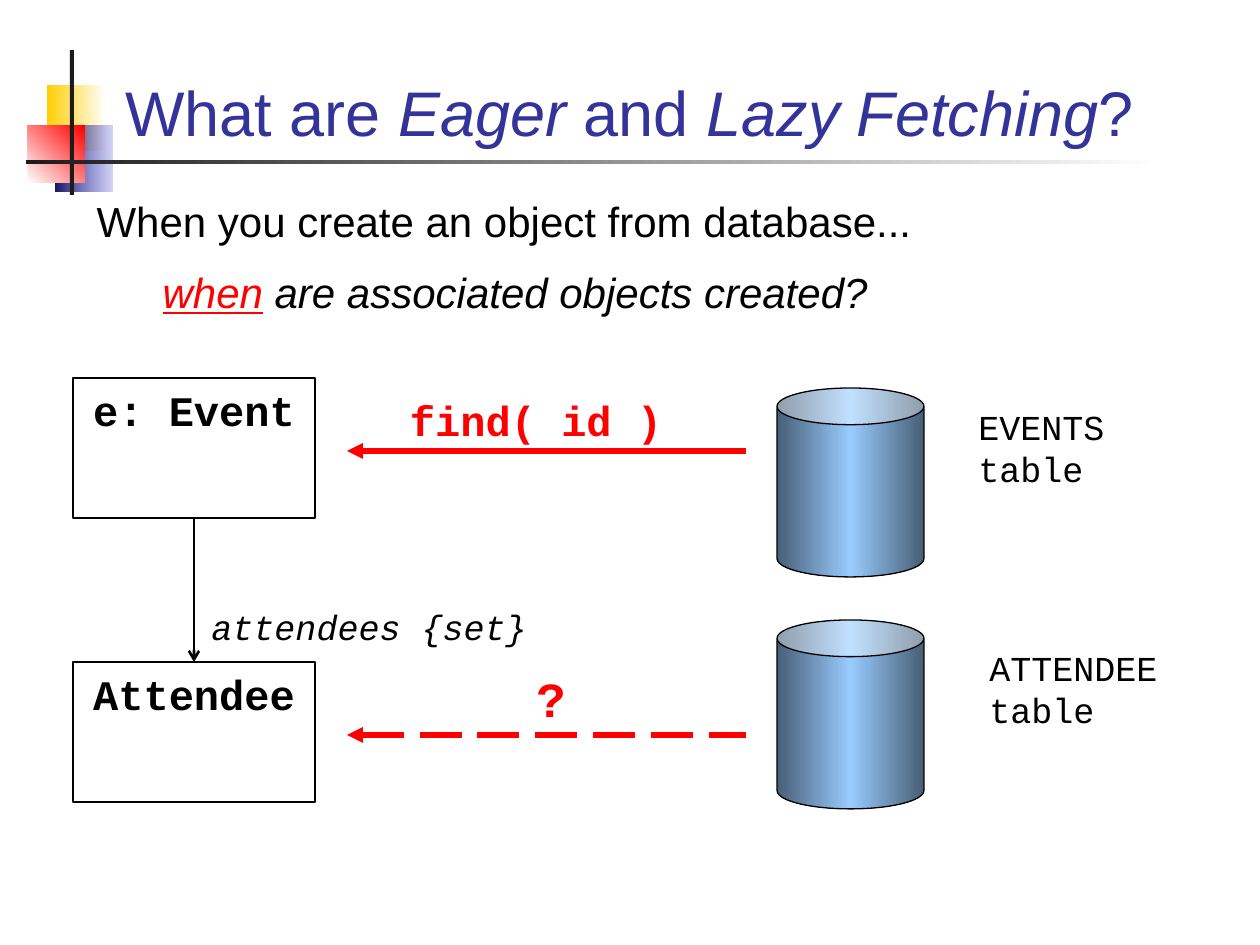
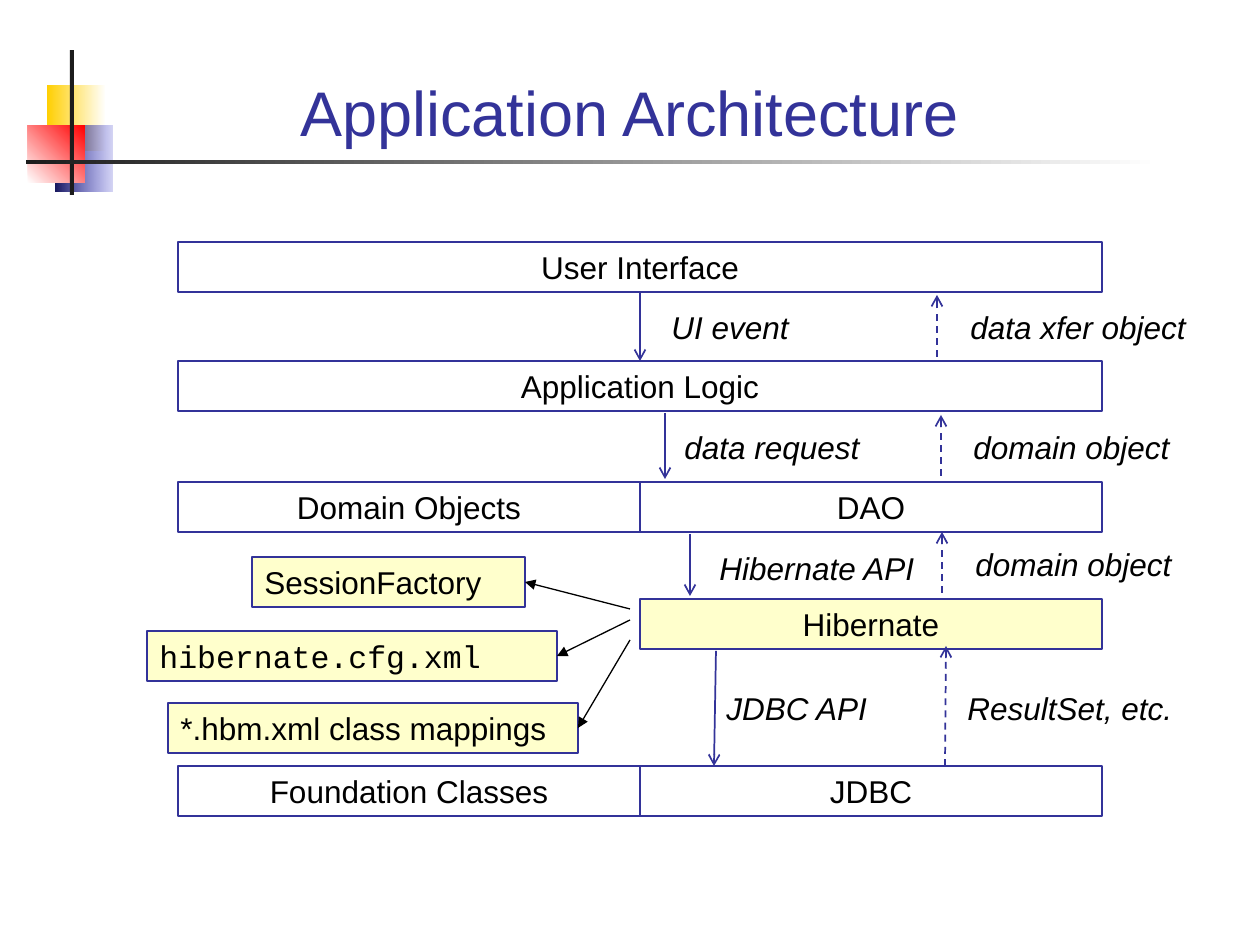
from dataclasses import dataclass

from lxml.etree import SubElement
from pptx import Presentation
from pptx.dml.color import RGBColor as Rgb
from pptx.enum.dml import MSO_LINE_DASH_STYLE as Dash
from pptx.enum.shapes import MSO_CONNECTOR as Link, MSO_SHAPE as Form
from pptx.enum.text import MSO_ANCHOR as Anchor, MSO_AUTO_SIZE as Fit, PP_ALIGN as Align
from pptx.oxml.ns import qn
from pptx.util import Pt

PX_PER_INCH = 126
EMU_PER_PX = 914400 / PX_PER_INCH
TOP, LEFT, BOTTOM, RIGHT = range(4)


@dataclass(frozen=True)
class Theme:
    sans: str = "Arial"
    mono: str = "Courier New"
    title: str = "333399"
    ink: str = "000000"
    accent: str = "FF0000"
    dark: str = "1C1C1C"
    white: str = "FFFFFF"
    gold: str = "FFCF01"
    navy: str = "18185E"
    blue: str = "3333CC"
    cream: str = "FFFFCC"
    steel: str = "475E76"
    sky: str = "99CCFF"
    title_size: int = 36
    mark_size: int = 28
    body_size: int = 24
    code_size: int = 20
    label_size: int = 18


THEME = Theme()


def emu(px):
    return round(px * EMU_PER_PX)


class Deck:
    """Holds the theme and the current slide, and draws each kind of element."""

    def __init__(self, theme):
        self.theme = theme
        self.show = Presentation()
        self.show.slide_width, self.show.slide_height = emu(1260), emu(945)
        self.slide = None

    def new_slide(self, layout, title_runs):
        self.slide = self.show.slides.add_slide(self.show.slide_layouts[layout])
        self.ornament()
        heading = self.slide.shapes.title
        self.place(heading, 84, 35, 1091, 120)
        heading.text_frame.vertical_anchor = Anchor.BOTTOM
        self.fill_text(heading.text_frame.paragraphs[0], title_runs, align=Align.CENTER,
                       size=self.theme.title_size, color=self.theme.title)

    def ornament(self):
        """Corner squares and crossing rules, the same on every slide."""
        t = self.theme
        self.box(47, 85, 59, 66, fill=[(0, t.gold), (100, t.white)])
        self.box(55, 126, 57, 66, fill=[(0, t.navy), (100, t.blue, 20)])
        self.box(28, 125, 57, 58, fill=[(0, t.white), (100, t.accent)], angle=315)
        self.box(70, 50, 4, 145, fill=t.dark)
        self.box(26, 160, 1134, 4, fill=[(0, t.dark), (100, t.white)])

    def place(self, holder, x, y, width, height):
        spot = dict(left=x, top=y, width=width, height=height)
        for side, px in spot.items():
            setattr(holder, side, emu(px))
        holder.text_frame.auto_size = Fit.NONE

    def fill_text(self, paragraph, runs, align=Align.LEFT, color=None, **base):
        """Runs are a string, or pairs of text and the format that differs."""
        paragraph.alignment = align
        for text, change in [(runs, {})] if isinstance(runs, str) else runs:
            look = {"name": self.theme.sans, "color": color or self.theme.ink, **base, **change}
            look["size"] = Pt(look["size"])
            run = paragraph.add_run()
            run.text = text
            run.font.color.rgb = Rgb.from_string(look.pop("color"))
            for key, value in look.items():
                setattr(run.font, key, value)

    def body(self, x, y, width, height, lines):
        """Each line is an indent in px and its runs."""
        holder = self.slide.placeholders[1]
        self.place(holder, x, y, width, height)
        for number, (indent, runs) in enumerate(lines):
            frame = holder.text_frame
            paragraph = frame.add_paragraph() if number else frame.paragraphs[0]
            props = paragraph._p.get_or_add_pPr()
            props.set("marL", str(emu(indent)))
            props.set("indent", "0")
            SubElement(props, qn("a:buNone"))
            paragraph.space_before = Pt(12 if number else 0)
            self.fill_text(paragraph, runs, size=self.theme.body_size)

    def gradient(self, shape, stops, angle):
        shape.fill.gradient()
        grad = shape._element.spPr.find(qn("a:gradFill"))
        stop_list = grad.find(qn("a:gsLst"))
        for old in list(stop_list):
            stop_list.remove(old)
        for position, color, *opacity in stops:
            stop = SubElement(stop_list, qn("a:gs"), pos=str(position * 1000))
            tint = SubElement(stop, qn("a:srgbClr"), val=color)
            for percent in opacity:
                SubElement(tint, qn("a:alpha"), val=str(percent * 1000))
        grad.find(qn("a:lin")).set("ang", str(angle * 60000))

    def box(self, x, y, width, height, text="", form=Form.RECTANGLE, fill=None,
            line=None, angle=0, **look):
        shape = self.slide.shapes.add_shape(form, *map(emu, (x, y, width, height)))
        shape.shadow.inherit = False
        if isinstance(fill, list):
            self.gradient(shape, fill, angle)
        elif fill:
            shape.fill.solid()
            shape.fill.fore_color.rgb = Rgb.from_string(fill)
        else:
            shape.fill.background()
        if line:
            shape.line.color.rgb = Rgb.from_string(line)
            shape.line.width = Pt(0.75)
        else:
            shape.line.fill.background()
        if text:
            shape.text_frame.vertical_anchor = Anchor.TOP
            self.fill_text(shape.text_frame.paragraphs[0], text, **look)
        return shape

    def label(self, x, y, width, height, text, **look):
        frame = self.slide.shapes.add_textbox(*map(emu, (x, y, width, height))).text_frame
        frame.word_wrap = True
        self.fill_text(frame.paragraphs[0], text, **look)

    def arrow(self, start, end, color, weight, tip="arrow", at="tailEnd", dash=None):
        """An end is a point, or a shape and the side to join."""
        ends = (start, end)
        points = [(a, b) if isinstance(a, int) else (0, 0) for a, b in ends]
        link = self.slide.shapes.add_connector(
            Link.STRAIGHT, *(emu(px) for point in points for px in point))
        for (target, side), join in zip(ends, (link.begin_connect, link.end_connect)):
            if not isinstance(target, int):
                join(target, side)
        link.line.color.rgb = Rgb.from_string(color)
        link.line.width = Pt(weight)
        if dash:
            link.line.dash_style = dash
        props = link._element.spPr
        SubElement(props.find(qn("a:ln")), qn(f"a:{at}"), type=tip)
        SubElement(props, qn("a:effectLst"))


def fetching_slide(deck):
    t = deck.theme
    slanted = {"italic": True}
    deck.new_slide(1, [("What are ", {}), ("Eager ", slanted), ("and", {}),
                       (" Lazy Fetching", slanted), ("?", {})])
    deck.body(84, 189, 1091, 168, [
        (0, "When you create an object from database..."),
        (66, [("when", {"italic": True, "underline": True, "color": t.accent}),
              (" are associated objects created?", slanted)]),
    ])

    # Objects in memory
    code = dict(name=t.mono, size=t.code_size)
    strong = dict(name=t.mono, size=t.body_size, bold=True, align=Align.CENTER)
    event, attendee = [deck.box(73, y, 242, 140, name, line=t.ink, **strong)
                       for y, name in ((378, "e: Event"), (662, "Attendee"))]
    deck.arrow((event, BOTTOM), (attendee, TOP), t.ink, 1.5)
    deck.label(199, 599, 357, 55, "attendees {set}", italic=True, **code)

    # Database tables
    metal = [(0, t.steel), (50, t.sky), (100, t.steel)]
    for y in (388, 620):
        deck.box(777, y, 147, 189, form=Form.CAN, fill=metal, line=t.ink)
    deck.label(966, 399, 242, 97, "EVENTS table", **code)
    deck.label(977, 640, 242, 97, "ATTENDEE table", **code)

    # Fetches
    for y, dash in ((451, None), (735, Dash.LONG_DASH)):
        deck.arrow((347, y), (746, y), t.accent, 3, "triangle", "headEnd", dash)
    strong["color"] = t.accent
    deck.label(389, 388, 294, 63, "find( id )", **strong)
    deck.label(420, 662, 262, 72, "?", **{**strong, "size": t.mark_size})


def architecture_slide(deck):
    t = deck.theme
    deck.new_slide(5, "Application Architecture")
    left, half, high = 178, 462, 50
    middle = left + half

    # Layers, from the top down
    layers = [
        ("User Interface", left, 242, 2 * half, None),
        ("Application Logic", left, 361, 2 * half, None),
        ("Domain Objects", left, 482, half, None),
        ("DAO", middle, 482, half, None),
        ("Hibernate", middle, 599, half, t.cream),
        ("Foundation Classes", left, 766, half, None),
        ("JDBC", middle, 766, half, None),
    ]
    layer = {name: deck.box(x, y, width, high, name, fill=fill, line=t.title,
                            align=Align.CENTER, size=t.label_size)
             for name, x, y, width, fill in layers}

    # Calls go down, results come back up
    calls = [
        ((layer["User Interface"], BOTTOM), (layer["Application Logic"], TOP)),
        ((665, 413), (665, 479)),
        ((690, 534), (690, 596)),
        ((716, 651), (714, 766)),
    ]
    results = [
        ((937, 357), (937, 295)),
        ((941, 476), (941, 415)),
        ((942, 593), (942, 532)),
        ((945, 766), (946, 646)),
    ]
    for routes, dash in ((calls, None), (results, Dash.DASH)):
        for start, end in routes:
            deck.arrow(start, end, t.title, 1, dash=dash)
    messages = [
        ("UI event", 659, 302, 164), ("data xfer object", 958, 302, 253),
        ("data request", 672, 422, 204), ("domain object", 961, 422, 253),
        ("Hibernate API", 707, 543, 238), ("domain object", 963, 539, 237),
        ("JDBC API", 714, 683, 214), ("ResultSet, etc.", 955, 683, 237),
    ]
    for message, x, y, width in messages:
        deck.label(x, y, width, high, message, size=t.label_size, italic=True)

    # Parts of the Hibernate set-up
    parts = [
        ("SessionFactory", 252, 557, 273, t.sans, 609),
        ("hibernate.cfg.xml", 147, 631, 410, t.mono, 620),
        ("*.hbm.xml class mappings", 168, 703, 410, t.sans, 640),
    ]
    for name, x, y, width, font, start_y in parts:
        part = deck.box(x, y, width, high, name, fill=t.cream, line=t.title,
                        name=font, size=t.label_size)
        deck.arrow((630, start_y), (part, RIGHT), t.ink, 0.75, "triangle")


def main():
    deck = Deck(THEME)
    fetching_slide(deck)
    architecture_slide(deck)
    deck.show.save("out.pptx")


if __name__ == "__main__":
    main()
